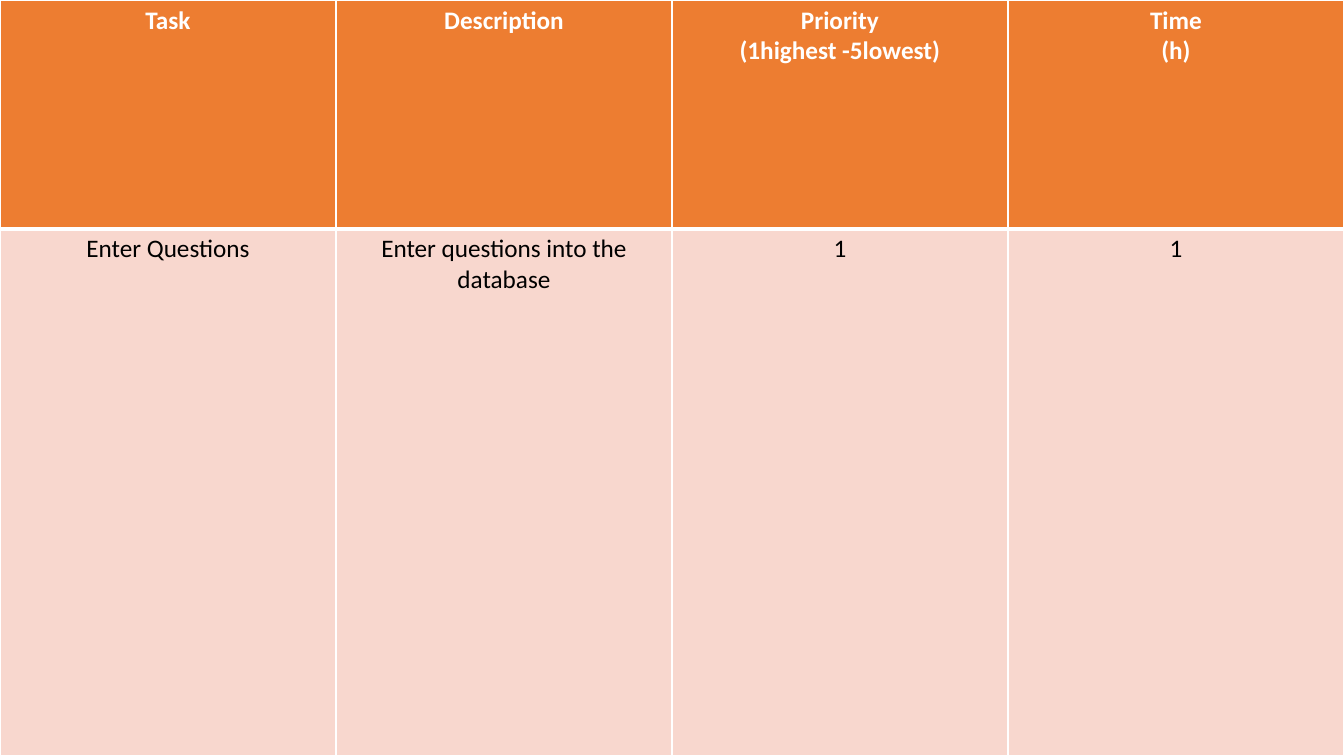
from dataclasses import dataclass

from lxml.etree import SubElement
from pptx import Presentation
from pptx.dml.color import RGBColor as Color
from pptx.enum.text import PP_ALIGN as Align
from pptx.oxml.ns import qn
from pptx.table import _Cell as Cell
from pptx.util import Inches, Pt


@dataclass(frozen=True)
class Theme:
    font: str = "Calibri"
    text_size: int = 18
    header_fill: str = "ED7D31"
    header_text: str = "FFFFFF"
    body_fill: str = "F8D7CE"
    body_text: str = "000000"
    border: str = "FFFFFF"
    thin_border: int = 1
    thick_border: int = 3


@dataclass(frozen=True)
class RowStyle:
    height: float
    fill: str
    text_color: str
    bold: bool
    top_border: int
    bottom_border: int


@dataclass(frozen=True)
class TaskRow:
    texts: tuple[str, ...]
    style: RowStyle


THEME = Theme()
SLIDE_WIDTH, SLIDE_HEIGHT = 13.33, 7.5
HEADER_HEIGHT = 2.27

HEADER = RowStyle(HEADER_HEIGHT, THEME.header_fill, THEME.header_text, True,
                  THEME.thin_border, THEME.thick_border)
BODY = RowStyle(SLIDE_HEIGHT - HEADER_HEIGHT, THEME.body_fill, THEME.body_text, False,
                THEME.thick_border, THEME.thin_border)

ROWS = (
    TaskRow(("Task", "Description", "Priority\n(1highest -5lowest)", "Time\n(h)"), HEADER),
    TaskRow(("Enter Questions", "Enter questions into the database", "1", "1"), BODY),
)


def add_borders(cell: Cell, style: RowStyle) -> None:
    """Add the four edge lines; call before filling, as the schema puts lines first."""
    properties = cell._tc.get_or_add_tcPr()
    edges = {"L": THEME.thin_border, "R": THEME.thin_border,
             "T": style.top_border, "B": style.bottom_border}
    for edge, width in edges.items():
        line = SubElement(properties, qn(f"a:ln{edge}"), w=str(Pt(width)))
        fill = SubElement(line, qn("a:solidFill"))
        SubElement(fill, qn("a:srgbClr"), val=THEME.border)


def fill_cell(cell: Cell, text: str, style: RowStyle) -> None:
    add_borders(cell, style)
    cell.fill.solid()
    cell.fill.fore_color.rgb = Color.from_string(style.fill)
    cell.text_frame.text = text
    for para in cell.text_frame.paragraphs:
        para.alignment = Align.CENTER
        for span in para.runs:
            span.font.name = THEME.font
            span.font.size = Pt(THEME.text_size)
            span.font.bold = style.bold
            span.font.color.rgb = Color.from_string(style.text_color)


def main() -> None:
    deck = Presentation()
    deck.slide_width, deck.slide_height = Inches(SLIDE_WIDTH), Inches(SLIDE_HEIGHT)
    page = deck.slides.add_slide(deck.slide_layouts[6])
    table = page.shapes.add_table(len(ROWS), len(ROWS[0].texts), 0, 0,
                                  deck.slide_width, deck.slide_height).table
    table.horz_banding = False
    for row_index, task in enumerate(ROWS):
        table.rows[row_index].height = Inches(task.style.height)
        for column_index, text in enumerate(task.texts):
            fill_cell(table.cell(row_index, column_index), text, task.style)
    deck.save("out.pptx")


if __name__ == "__main__":
    main()
